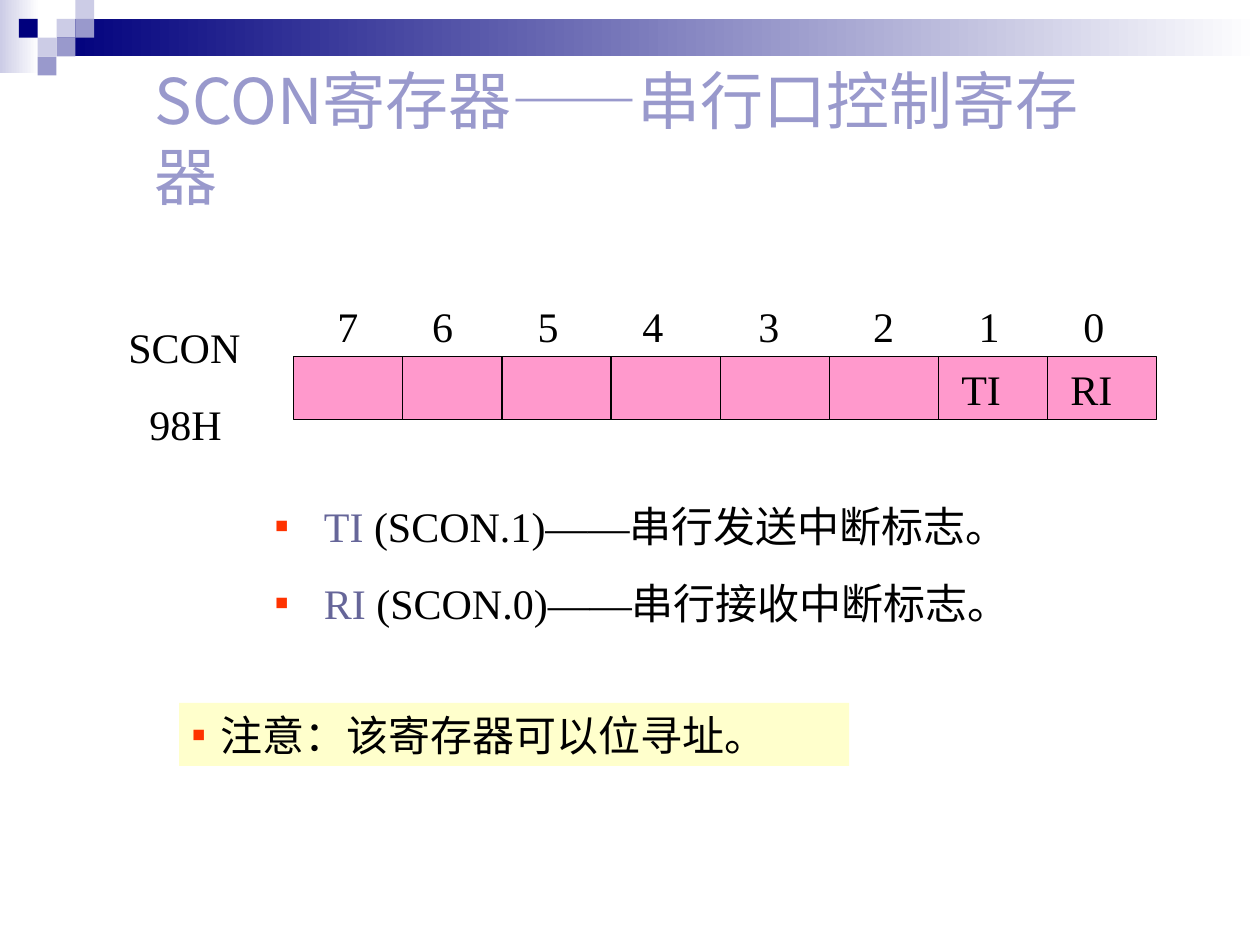
import pptx
import pptx.dml.color
import pptx.enum.shapes
import pptx.enum.text
import pptx.oxml.ns
import pptx.util
from lxml import etree

Cm = pptx.util.Cm
Pt = pptx.util.Pt
LATIN = "Times New Roman"
CJK = "Noto Sans CJK SC"
BLACK = "000000"


def rgb(value):
    return pptx.dml.color.RGBColor.from_string(value)


def add_xml(parent, tag, **attributes):
    return etree.SubElement(parent, pptx.oxml.ns.qn(tag), attributes)


def format_run(run, size, color, font):
    run.font.size = Pt(size)
    run.font.name = font
    run.font.color.rgb = rgb(color)
    add_xml(run.font._element, "a:ea", typeface=CJK)


def set_indent(paragraph, margin, first=0):
    properties = paragraph._p.get_or_add_pPr()
    properties.set("marL", str(Cm(margin)))
    properties.set("indent", str(Cm(first)))
    return properties


def add_bullet(paragraph, hang):
    properties = set_indent(paragraph, hang, -hang)
    color = add_xml(properties, "a:buClr")
    add_xml(color, "a:srgbClr", val="FF3300")
    add_xml(properties, "a:buFont", typeface=LATIN)
    add_xml(properties, "a:buChar", char="▪")


def fill_paragraph(paragraph, *parts):
    paragraph.alignment = pptx.enum.text.PP_ALIGN.LEFT
    paragraph.space_before = Pt(15)
    paragraph.line_spacing = Pt(29)
    for text, color in parts:
        run = paragraph.add_run()
        run.text = text
        format_run(run, 24, color, LATIN)
    return paragraph


def prepare_frame(shape):
    frame = shape.text_frame
    frame.word_wrap = True
    frame.auto_size = pptx.enum.text.MSO_AUTO_SIZE.NONE
    frame.vertical_anchor = pptx.enum.text.MSO_ANCHOR.TOP
    return frame


def add_text(slide, left, top, width, height):
    box = slide.shapes.add_textbox(Cm(left), Cm(top), Cm(width), Cm(height))
    return prepare_frame(box)


def add_rect(slide, left, top, width, height, color=None, line=None):
    rect = slide.shapes.add_shape(
        pptx.enum.shapes.MSO_SHAPE.RECTANGLE,
        Cm(left), Cm(top), Cm(width), Cm(height))
    rect.shadow.inherit = False
    if color:
        rect.fill.solid()
        rect.fill.fore_color.rgb = rgb(color)
    if line:
        rect.line.color.rgb = rgb(line)
        rect.line.width = Pt(0.75)
    else:
        rect.line.fill.background()
    return rect


def add_gradient_rect(slide, left, top, width, height, start, end):
    rect = add_rect(slide, left, top, width, height)
    rect.fill.gradient()
    rect.fill.gradient_angle = 0
    for stop, color in zip(rect.fill.gradient_stops, (start, end)):
        stop.color.rgb = rgb(color)


def add_header(slide):
    add_gradient_rect(slide, 0, 0, 0.79, 1.48, "CCCCE6", "FFFFFF")
    add_gradient_rect(slide, 1.14, 0.38, 24.26, 0.76, "00007D", "FFFFFF")
    squares = [
        (3, 1, "CCCCE6"), (4, 0, "CCCCE6"), (4, 1, "9999CC"),
        (2, 2, "CCCCE6"), (1, 1, "00007D"), (3, 2, "9999CC"),
        (2, 3, "9999CC"),
    ]
    side = 0.38
    for column, row, color in squares:
        add_rect(slide, column * side, row * side, side, side, color)


def add_title(slide):
    title = slide.shapes.title
    title.left, title.top = Cm(2.87), Cm(1.37)
    title.width, title.height = Cm(19.58), Cm(2.79)
    frame = prepare_frame(title)
    frame.vertical_anchor = pptx.enum.text.MSO_ANCHOR.MIDDLE
    frame.text = "SCON寄存器——串行口控制寄存器"
    heading = frame.paragraphs[0]
    heading.alignment = pptx.enum.text.PP_ALIGN.LEFT
    heading.line_spacing = Pt(43.5)
    format_run(heading.runs[0], 36, "9999CC", CJK)


def add_register(slide):
    label = add_text(slide, 2.34, 6.35, 3.18, 2.82)
    fill_paragraph(label.paragraphs[0], ("SCON", BLACK))
    address = fill_paragraph(label.add_paragraph(), ("98H", BLACK))
    set_indent(address, 0.42)

    cell_left = 5.92
    bit_lefts = [6.55, 8.46, 10.59, 12.7, 15.04, 17.35, 19.48, 21.59]
    flags = {1: "TI", 0: "RI"}
    for bit, bit_left in zip(range(7, -1, -1), bit_lefts):
        width = 2.0 if bit == 6 else 2.2
        cell = add_rect(slide, cell_left, 7.19, width, 1.27, "FF99CC", BLACK)
        cell_left += width
        if bit in flags:
            frame = prepare_frame(cell)
            flag = fill_paragraph(frame.paragraphs[0], (flags[bit], BLACK))
            set_indent(flag, 0.21)
        number = add_text(slide, bit_left, 5.92, 1.27, 1.27)
        fill_paragraph(number.paragraphs[0], (str(bit), BLACK))


def add_flag_meanings(slide):
    frame = add_text(slide, 5.28, 9.96, 15.88, 2.82)
    meanings = [
        ("TI ", "(SCON.1)——串行发送中断标志。"),
        ("RI ", "(SCON.0)——串行接收中断标志。"),
    ]
    for index, (flag, meaning) in enumerate(meanings):
        paragraph = frame.add_paragraph() if index else frame.paragraphs[0]
        fill_paragraph(paragraph, (flag, "666699"), (meaning, BLACK))
        add_bullet(paragraph, 1)


def add_note(slide):
    note = add_rect(slide, 3.61, 14.17, 13.51, 1.27, "FFFFCC")
    paragraph = prepare_frame(note).paragraphs[0]
    fill_paragraph(paragraph, ("注意：该寄存器可以位寻址。", BLACK))
    add_bullet(paragraph, 0.58)


def main():
    deck = pptx.Presentation()
    deck.slide_width, deck.slide_height = Cm(25.4), Cm(19.05)
    slide = deck.slides.add_slide(deck.slide_layouts[5])
    add_header(slide)
    add_title(slide)
    add_register(slide)
    add_flag_meanings(slide)
    add_note(slide)
    deck.save("out.pptx")


if __name__ == "__main__":
    main()
